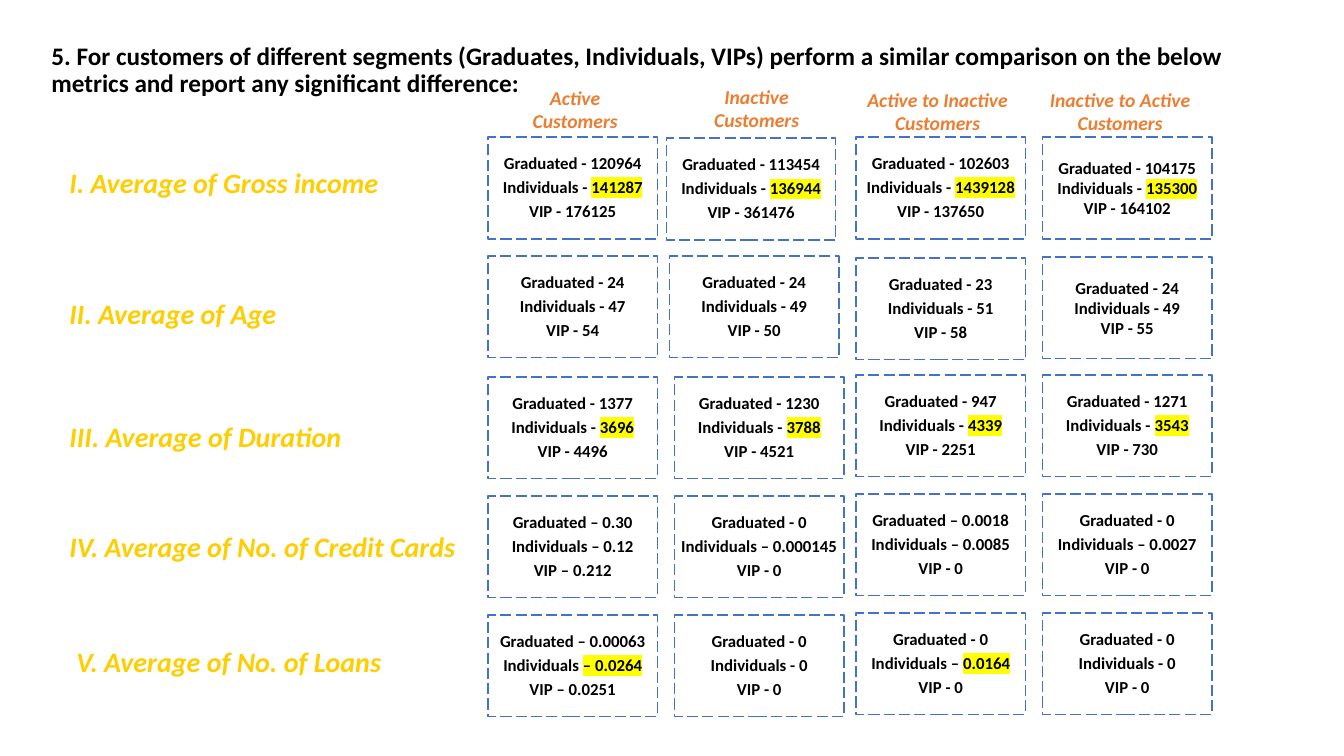
from pptx import Presentation
from pptx.dml.color import RGBColor
from pptx.enum.dml import MSO_LINE
from pptx.enum.shapes import MSO_SHAPE
from pptx.enum.text import MSO_ANCHOR, MSO_AUTO_SIZE, PP_ALIGN
from pptx.oxml import parse_xml
from pptx.oxml.ns import nsdecls, qn
from pptx.util import Pt

BLACK = RGBColor(0x00, 0x00, 0x00)
BLUE = RGBColor(0x44, 0x72, 0xC4)
ORANGE = RGBColor(0xED, 0x7D, 0x31)
GOLD = RGBColor(0xFE, 0xCE, 0x00)
YELLOW = RGBColor(0xFF, 0xFF, 0x00)

PX = 9144  # one hundredth of an inch
CARD_SIZE = (168, 101)
ROW_PITCH = 118

TITLE = ("5. For customers of different segments (Graduates, Individuals, VIPs) "
         "perform a similar comparison on the below metrics and report any "
         "significant difference:")

# Metric label, left, top
METRICS = [
    ("I. Average of Gross income", 59, 159, 347),
    ("II. Average of Age", 59, 289, 347),
    ("III. Average of Duration", 59, 411, 347),
    ("IV. Average of No. of Credit Cards", 59, 520, 414),
    ("V. Average of No. of Loans", 66, 634, 347),
]

# Heading lines, left, top, width
HEADINGS = [
    (("Active", "Customers"), 497, 80, 147),
    (("Inactive", "Customers"), 677, 79, 147),
    (("Active to Inactive", "Customers"), 846, 82, 168),
    (("Inactive to Active", "Customers"), 1020, 82, 182),
]

# Left edges by metric; tops of the income, age and duration cards
COLUMNS = [
    ((484,) * 5, (136, 254, 374)),
    ((661, 664, 669, 669, 669), (137, 254, 374)),
    ((849,) * 5, (136, 256, 372)),
    ((1034,) * 5, (136, 255, 372)),
]
COMPACT_CARDS = {(0, 3), (1, 3)}

# One row per metric, one card per customer group; * starts the highlight
NONE_HELD = ("Graduated - 0", "Individuals - 0", "VIP - 0")
SEGMENTS = [
    [("Graduated - 120964", "Individuals - *141287", "VIP - 176125"),
     ("Graduated - 113454", "Individuals - *136944", "VIP - 361476"),
     ("Graduated - 102603", "Individuals - *1439128", "VIP - 137650"),
     ("Graduated - 104175", "Individuals - *135300", "VIP - 164102")],
    [("Graduated - 24", "Individuals - 47", "VIP - 54"),
     ("Graduated - 24", "Individuals - 49", "VIP - 50"),
     ("Graduated - 23", "Individuals - 51", "VIP - 58"),
     ("Graduated - 24", "Individuals - 49", "VIP - 55")],
    [("Graduated - 1377", "Individuals - *3696", "VIP - 4496"),
     ("Graduated - 1230", "Individuals - *3788", "VIP - 4521"),
     ("Graduated - 947", "Individuals - *4339", "VIP - 2251"),
     ("Graduated - 1271", "Individuals - *3543", "VIP - 730")],
    [("Graduated – 0.30", "Individuals – 0.12", "VIP – 0.212"),
     ("Graduated - 0", "Individuals – 0.000145", "VIP - 0"),
     ("Graduated – 0.0018", "Individuals – 0.0085", "VIP - 0"),
     ("Graduated - 0", "Individuals – 0.0027", "VIP - 0")],
    [("Graduated – 0.00063", "Individuals *– 0.0264", "VIP – 0.0251"),
     NONE_HELD,
     ("Graduated - 0", "Individuals – *0.0164", "VIP - 0"),
     NONE_HELD],
]


class SegmentSlide:
    font_name = "Calibri"

    def __init__(self, presentation):
        self.slide = presentation.slides.add_slide(presentation.slide_layouts[5])

    def run(self, paragraph, text, size, color, italic=False, highlight=None):
        run = paragraph.add_run()
        run.text = text
        font = run.font
        font.name, font.size, font.bold, font.italic = self.font_name, Pt(size), True, italic
        font.color.rgb = color
        if highlight is not None:
            fill = run._r.rPr.find(qn("a:solidFill"))
            fill.addnext(parse_xml(
                f'<a:highlight {nsdecls("a")}><a:srgbClr val="{highlight}"/></a:highlight>'))

    def title(self, text, left, top, width, height):
        title = self.slide.shapes.title
        title.left, title.top = left * PX, top * PX
        title.width, title.height = width * PX, height * PX
        frame = title.text_frame
        frame.auto_size = MSO_AUTO_SIZE.NONE
        frame.vertical_anchor = MSO_ANCHOR.MIDDLE
        paragraph = frame.paragraphs[0]
        paragraph.alignment = PP_ALIGN.LEFT
        paragraph.line_spacing = 0.9
        self.run(paragraph, text, 18, BLACK)

    def label(self, lines, left, top, width, height, size, color, align=PP_ALIGN.LEFT):
        label = self.slide.shapes.add_textbox(left * PX, top * PX, width * PX, height * PX)
        frame = label.text_frame
        frame.word_wrap = True
        frame.auto_size = MSO_AUTO_SIZE.SHAPE_TO_FIT_TEXT
        paragraph = frame.paragraphs[0]
        paragraph.alignment = align
        for index, line in enumerate(lines):
            if index:
                paragraph.add_line_break()
            self.run(paragraph, line, size, color, italic=True)

    def card(self, lines, left, top, compact):
        width, height = CARD_SIZE
        card = self.slide.shapes.add_shape(
            MSO_SHAPE.RECTANGLE, left * PX, top * PX, width * PX, height * PX)
        card.shadow.inherit = False
        card.fill.background()
        card.line.color.rgb = BLUE
        card.line.width = Pt(1)
        card.line.dash_style = MSO_LINE.LONG_DASH
        frame = card.text_frame
        frame.word_wrap = True
        frame.vertical_anchor = MSO_ANCHOR.MIDDLE
        frame.margin_left = frame.margin_right = 5 * PX
        frame.margin_top = frame.margin_bottom = 5 * PX
        for index, line in enumerate(lines):
            paragraph = frame.add_paragraph() if index else frame.paragraphs[0]
            paragraph.alignment = PP_ALIGN.CENTER
            if not compact:
                paragraph.line_spacing = 0.9
                paragraph.space_after = Pt(4.2)
            plain, _, marked = line.partition("*")
            self.run(paragraph, plain, 12, BLACK)
            if marked:
                self.run(paragraph, marked, 12, BLACK, highlight=YELLOW)


def main():
    presentation = Presentation()
    presentation.slide_width, presentation.slide_height = 1333 * PX, 750 * PX
    comparison = SegmentSlide(presentation)
    comparison.title(TITLE, 41, 32, 1246, 77)
    for row, segments in enumerate(SEGMENTS):
        for column, (lefts, tops) in enumerate(COLUMNS):
            top = tops[row] if row < 2 else tops[2] + (row - 2) * ROW_PITCH
            comparison.card(segments[column], lefts[row], top, (row, column) in COMPACT_CARDS)
    for metric, left, top, width in METRICS:
        comparison.label([metric], left, top, width, 44, 20, GOLD)
    for lines, left, top, width in HEADINGS:
        comparison.label(lines, left, top, width, 57, 14, ORANGE, PP_ALIGN.CENTER)
    presentation.save("out.pptx")


if __name__ == "__main__":
    main()
